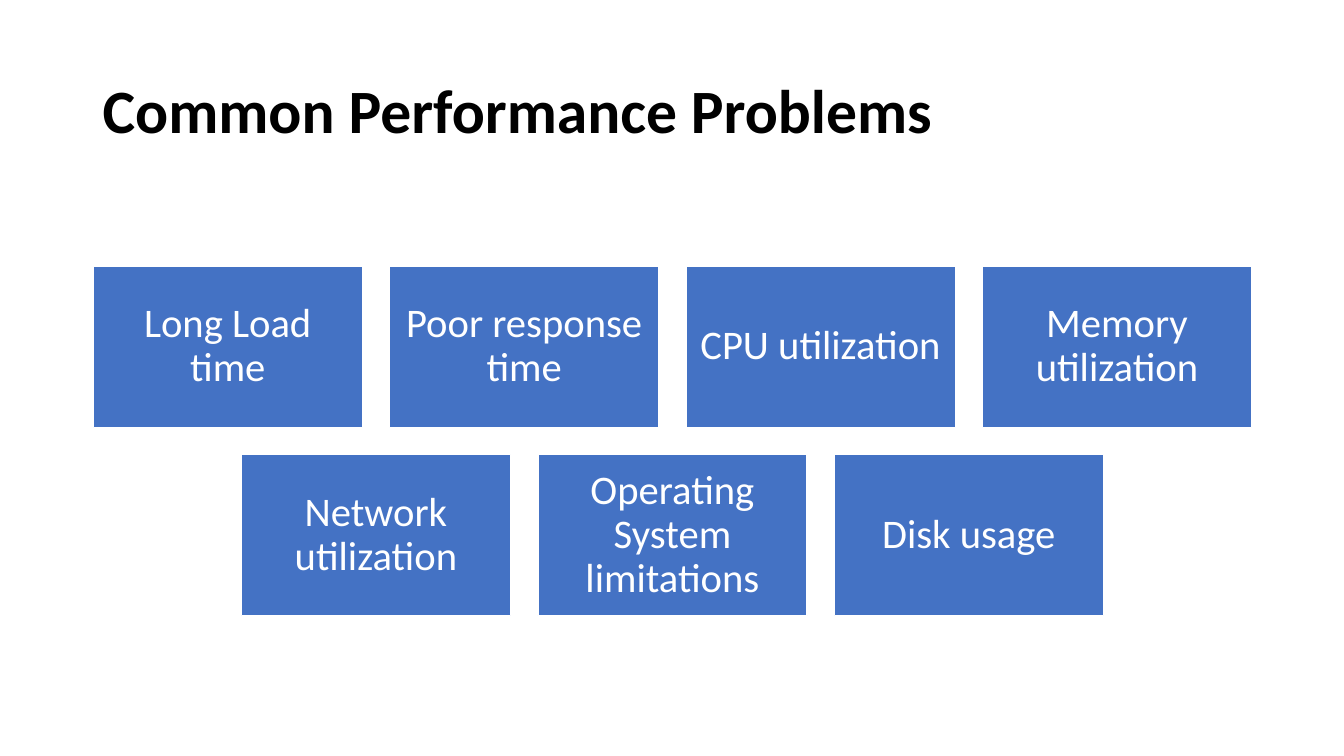
from pptx import Presentation
from pptx.dml.color import RGBColor
from pptx.enum.shapes import MSO_SHAPE
from pptx.enum.text import MSO_ANCHOR, PP_ALIGN
from pptx.util import Inches, Pt

BLACK = RGBColor(0x00, 0x00, 0x00)
WHITE = RGBColor(0xFF, 0xFF, 0xFF)
BLUE = RGBColor(0x44, 0x72, 0xC4)
FONT = "Calibri"

TILE_W, TILE_H, GAP = 2.67, 1.6, 0.27
ROWS = [
    ["Long Load time", "Poor response time", "CPU utilization", "Memory utilization"],
    ["Network utilization", "Operating System limitations", "Disk usage"],
]


def write(frame, text, size, color, align, bold=False):
    frame.word_wrap = True
    frame.vertical_anchor = MSO_ANCHOR.MIDDLE
    para = frame.paragraphs[0]
    para.alignment = align
    para.line_spacing = 0.9
    run = para.add_run()
    run.text = text
    run.font.name = FONT
    run.font.size = Pt(size)
    run.font.bold = bold
    run.font.color.rgb = color


def add_title(slide, left, top, width, height):
    box = slide.shapes.add_textbox(
        Inches(left), Inches(top), Inches(width), Inches(height))
    write(box.text_frame, "Common Performance Problems", 44, BLACK,
          PP_ALIGN.LEFT, bold=True)


def add_tile(slide, left, top, label):
    tile = slide.shapes.add_shape(
        MSO_SHAPE.RECTANGLE, Inches(left), Inches(top),
        Inches(TILE_W), Inches(TILE_H))
    tile.shadow.inherit = False
    tile.fill.solid()
    tile.fill.fore_color.rgb = BLUE
    tile.line.color.rgb = WHITE
    tile.line.width = Pt(1)
    frame = tile.text_frame
    frame.margin_left = frame.margin_right = Inches(0.12)
    frame.margin_top = frame.margin_bottom = Inches(0.12)
    write(frame, label, 29, WHITE, PP_ALIGN.CENTER)


def add_grid(slide, left, top, width):
    # Each row is centred in the width
    for i, row in enumerate(ROWS):
        span = len(row) * (TILE_W + GAP) - GAP
        start = left + (width - span) / 2
        for j, label in enumerate(row):
            add_tile(slide, start + j * (TILE_W + GAP),
                     top + i * (TILE_H + GAP), label)


def main():
    deck = Presentation()
    deck.slide_width, deck.slide_height = Inches(13.33), Inches(7.5)
    slide = deck.slides.add_slide(deck.slide_layouts[6])

    # Heading
    add_title(slide, 0.92, 0.4, 11.5, 1.45)
    # Problem tiles
    add_grid(slide, 0.92, 2.64, 11.5)

    deck.save("out.pptx")


if __name__ == "__main__":
    main()
